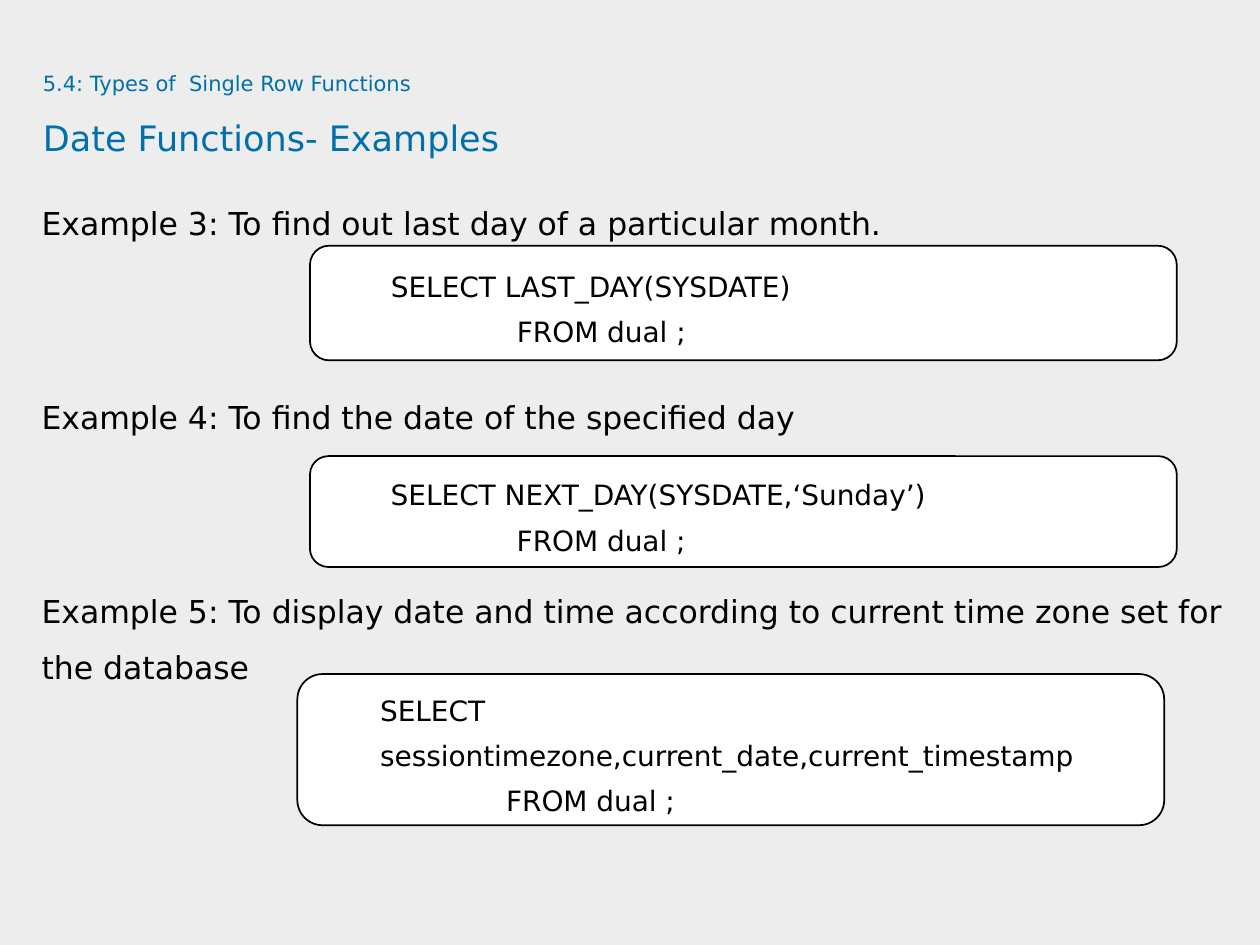
from dataclasses import dataclass

from pptx import Presentation
from pptx.dml.color import RGBColor
from pptx.enum.shapes import MSO_SHAPE
from pptx.enum.text import MSO_ANCHOR, PP_ALIGN
from pptx.shapes.autoshape import Shape
from pptx.slide import Slide
from pptx.text.text import _Paragraph
from pptx.util import Inches, Pt

ROUNDED = MSO_SHAPE.ROUNDED_RECTANGLE
MIDDLE = MSO_ANCHOR.MIDDLE
LEFT = PP_ALIGN.LEFT

BACKGROUND = RGBColor(0xED, 0xED, 0xED)
HEADING_BLUE = RGBColor(0x00, 0x70, 0xAD)
BLACK = RGBColor(0x00, 0x00, 0x00)
WHITE = RGBColor(0xFF, 0xFF, 0xFF)

FONT = "DejaVu Sans"
SLIDE_WIDTH = Inches(10)
SLIDE_HEIGHT = Inches(7.5)
COLUMN = SLIDE_WIDTH / 100
ROW = SLIDE_HEIGHT / 75
EXAMPLE_GAP = Pt(78.3)
INDENTS = (Inches(0.5), Inches(1.5))


@dataclass(frozen=True)
class Area:
    column: float
    row: float
    columns: float
    rows: float

    def lengths(self) -> tuple[int, int, int, int]:
        return (
            round(self.column * COLUMN),
            round(self.row * ROW),
            round(self.columns * COLUMN),
            round(self.rows * ROW),
        )


@dataclass(frozen=True)
class Line:
    text: str
    size: float
    color: RGBColor = BLACK


@dataclass(frozen=True)
class Query:
    select: str
    area: Area


HEADING = (
    Line("5.4: Types of  Single Row Functions", 12, HEADING_BLUE),
    Line("Date Functions- Examples", 20, HEADING_BLUE),
)
EXAMPLES = (
    Line("Example 3: To find out last day of a particular month.", 18),
    Line("Example 4: To find the date of the specified day", 18),
    Line(
        "Example 5: To display date and time according to current time zone "
        "set for the database",
        18,
    ),
)
QUERIES = (
    Query("SELECT LAST_DAY(SYSDATE)", Area(24.6, 19.5, 68.8, 9.1)),
    Query("SELECT NEXT_DAY(SYSDATE,‘Sunday’)", Area(24.6, 36.2, 68.8, 8.8)),
    Query(
        "SELECT sessiontimezone,current_date,current_timestamp",
        Area(23.6, 53.5, 68.8, 12),
    ),
)


def write_lines(box: Shape, lines: tuple[Line, ...], spacing: float) -> list[_Paragraph]:
    frame = box.text_frame
    frame.word_wrap = True
    frame.text = "\n".join(line.text for line in lines)
    for para, line in zip(frame.paragraphs, lines):
        para.alignment = LEFT
        para.line_spacing = spacing
        for span in para.runs:
            span.font.name = FONT
            span.font.size = Pt(line.size)
            span.font.color.rgb = line.color
    return list(frame.paragraphs)


def add_text(page: Slide, area: Area, lines: tuple[Line, ...], gap: int) -> None:
    box = page.shapes.add_textbox(*area.lengths())
    frame = box.text_frame
    frame.margin_left = frame.margin_right = 0
    frame.margin_top = frame.margin_bottom = 0
    for para in write_lines(box, lines, 1.5):
        para.space_after = gap


def add_query(page: Slide, query: Query) -> None:
    box = page.shapes.add_shape(ROUNDED, *query.area.lengths())
    box.shadow.inherit = False
    box.fill.solid()
    box.fill.fore_color.rgb = WHITE
    box.line.color.rgb = BLACK
    box.line.width = Pt(1)
    box.text_frame.vertical_anchor = MIDDLE
    lines = (Line(query.select, 16), Line("FROM dual ;", 16))
    for para, indent in zip(write_lines(box, lines, 1.35), INDENTS):
        para.level = 1
        properties = para._p.get_or_add_pPr()
        properties.set("marL", str(indent))
        properties.set("indent", "0")


def main() -> None:
    deck = Presentation()
    deck.slide_width = SLIDE_WIDTH
    deck.slide_height = SLIDE_HEIGHT
    page = deck.slides.add_slide(deck.slide_layouts[6])
    page.background.fill.solid()
    page.background.fill.fore_color.rgb = BACKGROUND

    add_text(page, Area(3.4, 4.6, 90.9, 9.4), HEADING, Pt(0))
    add_text(page, Area(3.3, 14.7, 96.7, 50.8), EXAMPLES, EXAMPLE_GAP)
    for query in QUERIES:
        add_query(page, query)
    deck.save("out.pptx")


if __name__ == "__main__":
    main()
